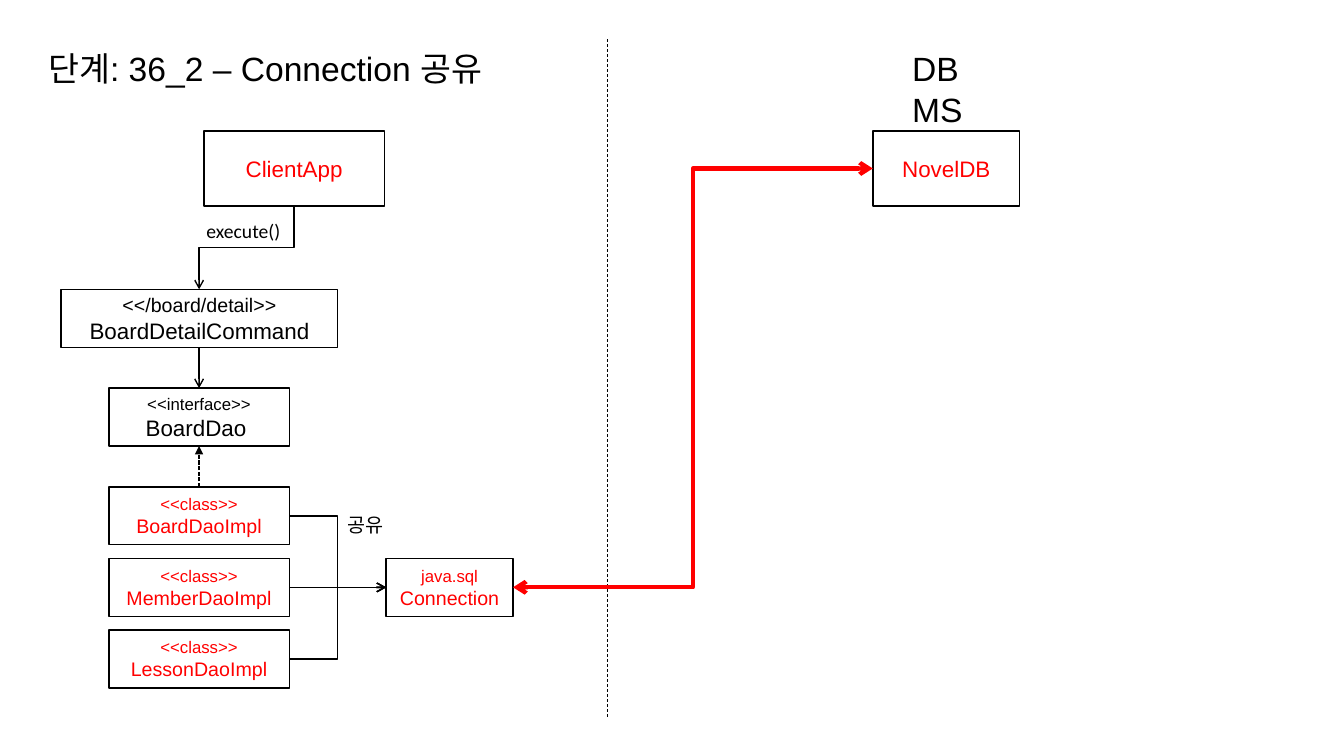
from pptx import Presentation
from pptx.util import Pt
from pptx.dml.color import RGBColor
from pptx.enum.dml import MSO_LINE_DASH_STYLE as DASH
from pptx.enum.shapes import MSO_CONNECTOR as CONN, MSO_SHAPE
from pptx.enum.text import MSO_ANCHOR, MSO_AUTO_SIZE, PP_ALIGN
from pptx.oxml.ns import qn
from lxml import etree

BLACK, RED, WHITE = "000000", "FF0000", "FFFFFF"
LEFT, DAO_W, BOX_H = 77.76, 128.88, 41.4
COMMAND_Y, DAO_Y, IMPL_Y, IMPL_STEP = 206.64, 277.2, 347.76, 51.12
IMPLS = ["BoardDaoImpl", "MemberDaoImpl", "LessonDaoImpl"]
impl_tops = [IMPL_Y + i * IMPL_STEP for i in range(len(IMPLS))]

BOXES = [
    (145.6, 93.6, 129, 53.6, None, RED, [("ClientApp", 16)]),
    (623.5, 93.6, 104.8, 53.6, None, RED, [("NovelDB", 16)]),
    (43.7, COMMAND_Y, 197.6, BOX_H, WHITE, BLACK,
     [("<</board/detail>>", 14), ("BoardDetailCommand", 16)]),
    (LEFT, DAO_Y, DAO_W, BOX_H, None, BLACK,
     [("<<interface>>", 12), ("BoardDao ", 16)]),
    (275.8, impl_tops[1], 90.7, BOX_H, WHITE, RED,
     [("java.sql", 12), ("Connection", 14)]),
] + [
    (LEFT, top, DAO_W, BOX_H, WHITE, RED, [("<<class>>", 12), (name, 14)])
    for name, top in zip(IMPLS, impl_tops)
]

LABELS = [
    (27.4, 31, 353.5, 36, "단계: 36_2 – Connection 공유", 24, "Arial", False),
    (644.4, 31, 63.4, 36, "DBMS", 24, "Arial", True),
    (140.4, 152.6, 67.7, 24.5, "execute()", 14, "Calibri", False),
    (241.2, 362.9, 42.5, 24.5, "공유", 14, "Calibri", False),
]

axis = LEFT + DAO_W / 2
share_y = impl_tops[1] + BOX_H / 2
STRAIGHT = [
    (434.2, 28.1, 434.2, 511.9, 0.5, DASH.DASH, None),
    (axis, COMMAND_Y + BOX_H, axis, DAO_Y, 1, None, "arrow"),
    (axis, IMPL_Y, axis, DAO_Y + BOX_H, 1, DASH.SQUARE_DOT, "triangle"),
]

prs = Presentation()
prs.slide_width, prs.slide_height = Pt(960), Pt(540)
s = prs.slides.add_slide(prs.slide_layouts[6])


def rgb(color):
    return RGBColor.from_string(color)


def write(tf, lines, color, font, align):
    for i, (text, size) in enumerate(lines):
        p = tf.paragraphs[0] if i == 0 else tf.add_paragraph()
        p.alignment = align
        r = p.add_run()
        r.text = text
        r.font.size, r.font.name = Pt(size), font
        r.font.color.rgb = rgb(color)


def add_box(x, y, w, h, fill, color, lines):
    sp = s.shapes.add_shape(MSO_SHAPE.RECTANGLE, Pt(x), Pt(y), Pt(w), Pt(h))
    sp.shadow.inherit = False
    if fill:
        sp.fill.solid()
        sp.fill.fore_color.rgb = rgb(fill)
    else:
        sp.fill.background()
    sp.line.color.rgb = rgb(BLACK)
    sp.line.width = Pt(1)
    sp.text_frame.vertical_anchor = MSO_ANCHOR.MIDDLE
    write(sp.text_frame, lines, color, "Arial", PP_ALIGN.CENTER)


def add_label(x, y, w, h, text, size, font, wrap):
    tf = s.shapes.add_textbox(Pt(x), Pt(y), Pt(w), Pt(h)).text_frame
    tf.word_wrap = wrap
    tf.auto_size = MSO_AUTO_SIZE.NONE if wrap else MSO_AUTO_SIZE.SHAPE_TO_FIT_TEXT
    write(tf, [(text, size)], BLACK, font, PP_ALIGN.LEFT)


def add_line(kind, x1, y1, x2, y2, width=1, dash=None, tail="arrow",
             head=None, color=BLACK):
    cn = s.shapes.add_connector(kind, Pt(x1), Pt(y1), Pt(x2), Pt(y2))
    cn.line.color.rgb = rgb(color)
    cn.line.width = Pt(width)
    if dash:
        cn.line.dash_style = dash
    ln = cn.line._get_or_add_ln()
    for tag, end in (("a:headEnd", head), ("a:tailEnd", tail)):
        if end:
            etree.SubElement(ln, qn(tag)).set("type", end)
    etree.SubElement(cn._element.spPr, qn("a:effectLst"))
    return cn


def add_down_elbow(x1, y1, x2, y2):
    cx, cy = (x1 + x2) / 2, (y1 + y2) / 2
    run, drop = (x1 - x2) / 2, (y2 - y1) / 2
    cn = add_line(CONN.ELBOW, cx - drop, cy - run, cx + drop, cy + run)
    cn._element.spPr.find(qn("a:xfrm")).set("rot", str(90 * 60000))


for box in BOXES:
    add_box(*box)
for label in LABELS:
    add_label(*label)
for line in STRAIGHT:
    add_line(CONN.STRAIGHT, *line)
add_down_elbow(210.1, 147.2, axis, COMMAND_Y)
for top in impl_tops:
    add_line(CONN.ELBOW, LEFT + DAO_W, top + BOX_H / 2, 275.8, share_y)
add_line(CONN.ELBOW, 366.5, share_y, 623.5, 120.4, 3, head="arrow", color=RED)

prs.save("out.pptx")
